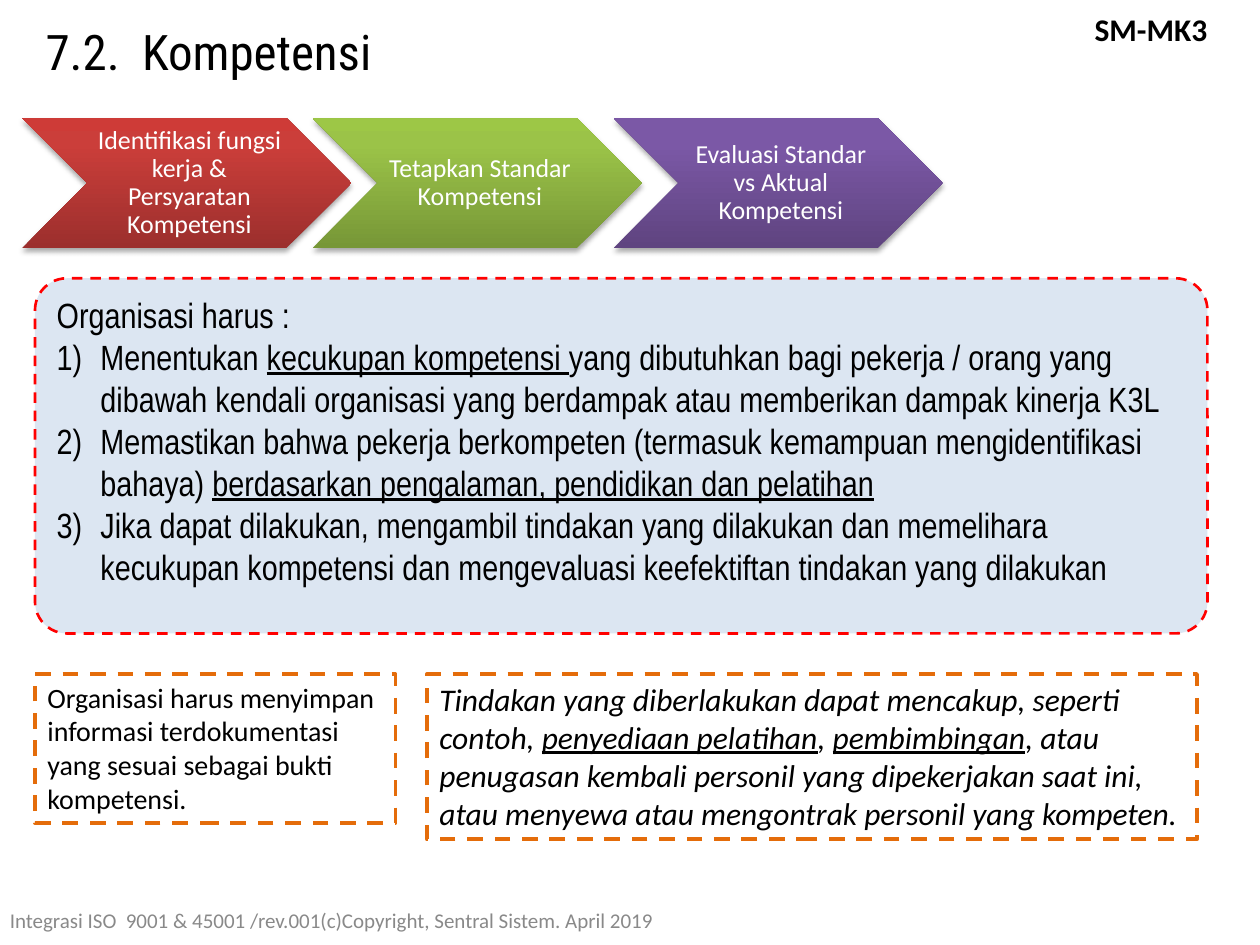
from pptx import Presentation
from pptx.dml.color import RGBColor
from pptx.enum.dml import MSO_LINE
from pptx.enum.shapes import MSO_SHAPE
from pptx.enum.text import MSO_ANCHOR, PP_ALIGN
from pptx.oxml import parse_xml
from pptx.oxml.ns import nsdecls, qn
from pptx.util import Pt

BLACK = RGBColor(0x00, 0x00, 0x00)
WHITE = RGBColor(0xFF, 0xFF, 0xFF)
GRAY = RGBColor(0x89, 0x89, 0x89)
RED = RGBColor(0xFF, 0x00, 0x00)
ORANGE = RGBColor(0xE4, 0x6C, 0x0A)
PALE_BLUE = RGBColor(0xDC, 0xE6, 0xF2)

# Underscores enclose underlined words.
TITLE = "7.2.  Kompetensi"
LABEL = "SM-MK3"
FOOTER = "Integrasi ISO  9001 & 45001 /rev.001(c)Copyright, Sentral Sistem. April 2019"
# left, text, gradient colours from bottom to top
STEPS = [
    (12.8, "Identifikasi fungsi kerja & Persyaratan Kompetensi",
     ("9C2F2D", "CB3E3A", "CE3B37")),
    (178.8, "Tetapkan Standar Kompetensi", ("779737", "9BC348", "9DC746")),
    (350.8, "Evaluasi Standar vs Aktual Kompetensi",
     ("5F4480", "7B58A6", "7C57A8")),
]
STEP_TOP, STEP_W, STEP_H = 67.6, 188, 74
GRADIENT_STOPS = (0, 80, 100)
DUTY_INTRO = "Organisasi harus :"
DUTIES = [
    "Menentukan _kecukupan kompetensi _yang dibutuhkan bagi pekerja / orang yang "
    "dibawah kendali organisasi yang berdampak atau memberikan dampak kinerja K3L",
    "Memastikan bahwa pekerja berkompeten (termasuk kemampuan mengidentifikasi "
    "bahaya) _berdasarkan pengalaman, pendidikan dan pelatihan_",
    "Jika dapat dilakukan, mengambil tindakan yang dilakukan dan memelihara "
    "kecukupan kompetensi dan mengevaluasi keefektiftan tindakan yang dilakukan",
]
# left, width, height, text, size, italic
NOTES = [
    (20, 206, 85, "Organisasi harus menyimpan informasi terdokumentasi yang sesuai "
     "sebagai bukti kompetensi.", 16, False),
    (244, 440, 94.5, "Tindakan yang diberlakukan dapat mencakup, seperti contoh, "
     "_penyediaan pelatihan_, _pembimbingan_, atau penugasan kembali personil yang "
     "dipekerjakan saat ini, atau menyewa atau mengontrak personil yang kompeten.",
     18, True),
]
NOTE_TOP = 385.2


def write(s, paragraphs, size, font="Calibri", color=BLACK, bold=False, italic=False,
          align=PP_ALIGN.LEFT, anchor=MSO_ANCHOR.TOP, spacing=None, numbered_from=None):
    """Fill s with paragraphs; those from index numbered_from on are numbered."""
    tf = s.text_frame
    tf.word_wrap = True
    tf.vertical_anchor = anchor
    for i, text in enumerate(paragraphs):
        p = tf.add_paragraph() if i else tf.paragraphs[0]
        p.alignment = align
        if spacing:
            p.line_spacing = spacing
        if numbered_from is not None and i >= numbered_from:
            pPr = p._p.get_or_add_pPr()
            pPr.set("marL", str(Pt(25)))
            pPr.set("indent", str(Pt(-25)))
            pPr.append(parse_xml(f'<a:buAutoNum {nsdecls("a")} type="arabicParenR"/>'))
        for j, part in enumerate(text.split("_")):
            if part:
                r = p.add_run()
                r.text = part
                f = r.font
                f.name, f.size, f.color.rgb = font, Pt(size), color
                f.bold, f.italic, f.underline = bold, italic, j % 2 == 1


def add_box(kind, left, top, width, height, line=None, weight=None, fill=None):
    s = slide.shapes.add_shape(kind, Pt(left), Pt(top), Pt(width), Pt(height))
    s.shadow.inherit = False
    if fill:
        s.fill.solid()
        s.fill.fore_color.rgb = fill
    else:
        s.fill.background()
    if line:
        s.line.color.rgb = line
        s.line.width = Pt(weight)
        s.line.dash_style = MSO_LINE.DASH
    else:
        s.line.fill.background()
    return s


def add_step(left, text, colors):
    s = add_box(MSO_SHAPE.CHEVRON, left, STEP_TOP, STEP_W, STEP_H)
    s.fill.gradient()
    s.fill.gradient_angle = 90
    spPr = s._element.spPr
    stops = spPr.find(qn("a:gradFill")).find(qn("a:gsLst"))
    stops.clear()
    for pos, color in zip(GRADIENT_STOPS, colors):
        stops.append(parse_xml(f'<a:gs {nsdecls("a")} pos="{pos * 1000}">'
                               f'<a:srgbClr val="{color}"/></a:gs>'))
    spPr.find(qn("a:effectLst")).append(parse_xml(
        f'<a:outerShdw {nsdecls("a")} blurRad="{Pt(3.1)}" dist="{Pt(1.8)}" '
        'dir="5400000" rotWithShape="0"><a:srgbClr val="000000">'
        '<a:alpha val="35000"/></a:srgbClr></a:outerShdw>'))
    tf = s.text_frame
    tf.margin_left, tf.margin_right = Pt(4.7), Pt(1.8)
    tf.margin_top = tf.margin_bottom = Pt(1.5)
    write(s, [text], 14.8, color=WHITE, align=PP_ALIGN.CENTER,
          anchor=MSO_ANCHOR.MIDDLE, spacing=0.9)


def add_text(left, top, width, height, text, size, **fmt):
    s = slide.shapes.add_textbox(Pt(left), Pt(top), Pt(width), Pt(height))
    write(s, [text], size, **fmt)


prs = Presentation()
prs.slide_width, prs.slide_height = Pt(720), Pt(540)
slide = prs.slides.add_slide(prs.slide_layouts[6])

for step in STEPS:
    add_step(*step)

duties = add_box(MSO_SHAPE.ROUNDED_RECTANGLE, 20, 159, 670, 203, RED, 1.5, PALE_BLUE)
duties.adjustments[0] = 0.09
write(duties, [DUTY_INTRO] + DUTIES, 20, font="Arial Narrow", numbered_from=1)

for left, width, height, text, size, italic in NOTES:
    note = add_box(MSO_SHAPE.RECTANGLE, left, NOTE_TOP, width, height, ORANGE, 2.25)
    write(note, [text], size, italic=italic)

add_text(19, 8.6, 570, 41, TITLE, 28, font="Roboto Condensed")
add_text(599, 2.2, 117.4, 35, LABEL, 18, bold=True, align=PP_ALIGN.CENTER)
add_text(-1.5, 511.2, 386, 28.8, FOOTER, 12, color=GRAY, anchor=MSO_ANCHOR.MIDDLE)

prs.save("out.pptx")
